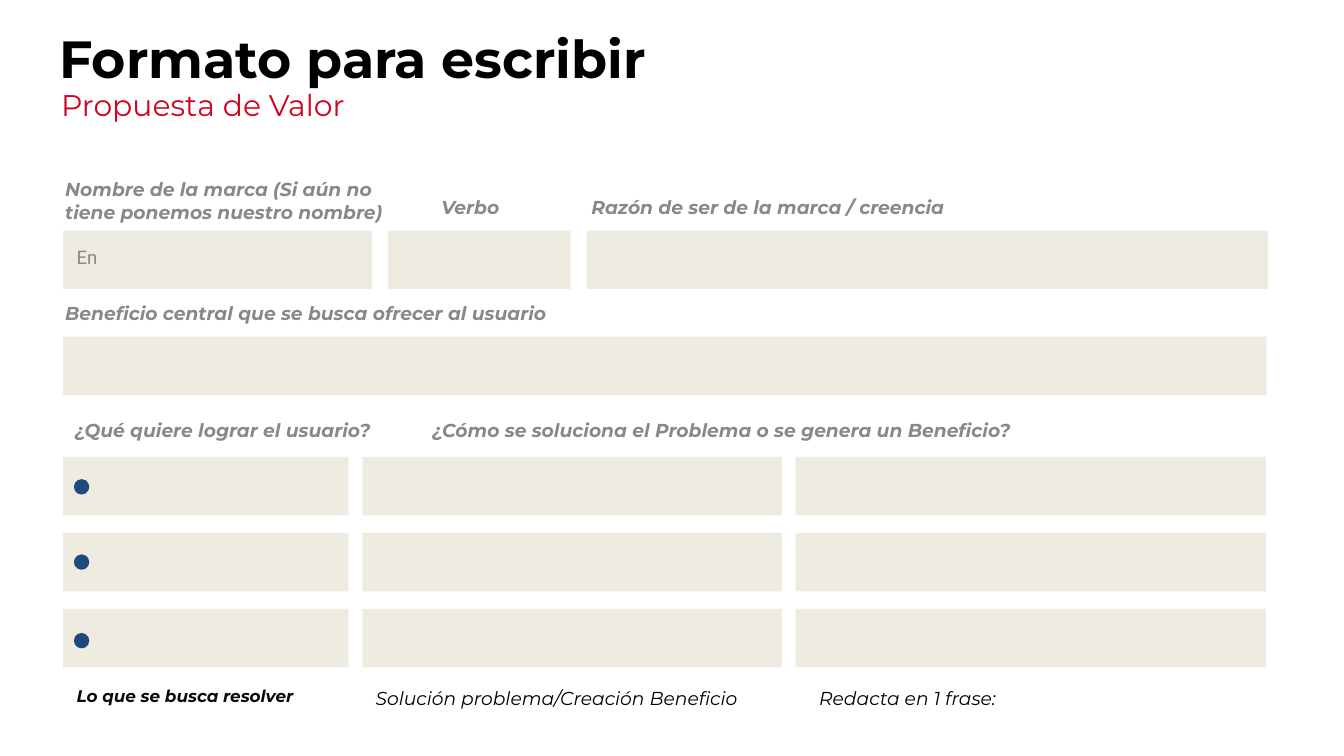
from pptx import Presentation
from pptx.dml.color import RGBColor
from pptx.enum.shapes import MSO_SHAPE as SHAPE
from pptx.enum.text import MSO_ANCHOR as ANCHOR
from pptx.util import Pt

BEIGE, GRAY, BLUE = "EEECE1", "888888", "1F497D"
BLACK, INK, RED = "000000", "0A0A0A", "CE0621"

LEFT, FIELD_HEIGHT, INSET = 67.6, 62.6, 14.4

# Rows of fields: top, gap between fields, field widths
BRAND_ROW = (247, 16.9, [331.2, 195.8, 730])
BENEFIT_ROW = (360.8, 0, [1289.6])
GOAL_GAP, GOAL_WIDTHS = 14.8, [306, 449.3, 504]
GOAL_TOP, GOAL_STEP, GOAL_COUNT = 489.6, 81.4, 3

DOT_LEFT, DOT_SIZE = 79.2, 16.5
DOT_TOPS = [513.4, 594, 678.2]

# Question labels: text, left, top, width, height
LABELS = [
    ("Nombre de la marca (Si aún no tiene ponemos nuestro nombre)", 55.4, 176.4, 416.2, 80),
    ("Verbo", 458.6, 198, 205.2, 54),
    ("Razón de ser de la marca / creencia", 619.2, 198, 730, 54),
    ("Beneficio central que se busca ofrecer al usuario", 55.4, 311.8, 1303.2, 54),
    ("¿Qué quiere lograr el usuario?", 65.5, 436.3, 357, 54),
    ("¿Cómo se soluciona el Problema o se genera un Beneficio?", 448.6, 436.3, 730, 54),
]

# Column footers: text, left, width, size, colour, bold
FOOTER_TOP = 724.3
FOOTERS = [
    ("Lo que se busca resolver", 67.6, 331.2, 18, INK, True),
    ("Solución problema/Creación Beneficio", 388.1, 449.3, 20, BLACK, False),
    ("Redacta en 1 frase:", 863.3, 483, 20, BLACK, False),
]

deck = Presentation()
deck.slide_width, deck.slide_height = Pt(1440), Pt(810)
slide = deck.slides.add_slide(deck.slide_layouts[6])


def rgb(color):
    return RGBColor.from_string(color)


def add_solid(kind, left, top, width, height, color):
    solid = slide.shapes.add_shape(kind, Pt(left), Pt(top), Pt(width), Pt(height))
    solid.shadow.inherit = False
    solid.fill.solid()
    solid.fill.fore_color.rgb = rgb(color)
    solid.line.fill.background()


def add_field_row(top, gap, widths):
    left = LEFT
    for width in widths:
        add_solid(SHAPE.RECTANGLE, left, top, width, FIELD_HEIGHT, BEIGE)
        left += width + gap


def add_text(text, left, top, width, height, size, color, bold=False, italic=False,
             face="Montserrat", anchor=ANCHOR.TOP):
    frame = slide.shapes.add_textbox(Pt(left), Pt(top), Pt(width), Pt(height)).text_frame
    frame.word_wrap = True
    frame.vertical_anchor = anchor
    frame.margin_left = frame.margin_right = Pt(INSET)
    frame.margin_top = frame.margin_bottom = Pt(INSET)
    run = frame.paragraphs[0].add_run()
    run.text = text
    font = run.font
    font.name, font.size, font.bold, font.italic = face, Pt(size), bold, italic
    font.color.rgb = rgb(color)


add_field_row(*BRAND_ROW)
add_field_row(*BENEFIT_ROW)
for row in range(GOAL_COUNT):
    add_field_row(GOAL_TOP + row * GOAL_STEP, GOAL_GAP, GOAL_WIDTHS)
for dot_top in DOT_TOPS:
    add_solid(SHAPE.OVAL, DOT_LEFT, dot_top, DOT_SIZE, DOT_SIZE, BLUE)

add_text("Formato para escribir", 49, 50.4, 1342, 59.8, 56, BLACK, bold=True,
         anchor=ANCHOR.BOTTOM)
add_text("Propuesta de Valor", 51.1, 78.5, 1143.4, 85, 32, RED)
add_text("En", LEFT, 251.3, 78.5, 54, 20, GRAY, face="Roboto")
for label, *place in LABELS:
    add_text(label, *place, 20, GRAY, bold=True, italic=True)
for footer, left, width, size, color, bold in FOOTERS:
    add_text(footer, left, FOOTER_TOP, width, 54, size, color, bold, italic=True)

deck.save("out.pptx")
